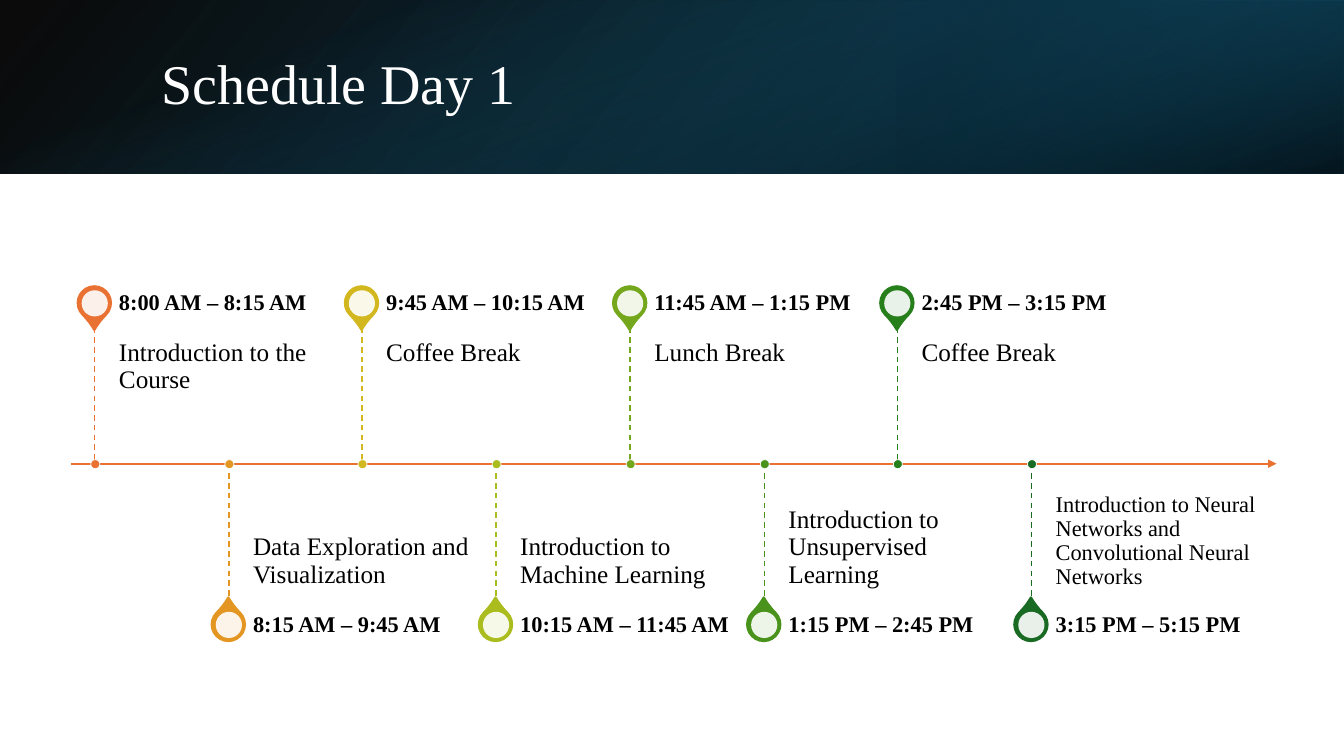
from lxml.etree import SubElement
from pptx import Presentation
from pptx.dml.color import RGBColor
from pptx.enum.dml import MSO_LINE
from pptx.enum.shapes import MSO_CONNECTOR, MSO_SHAPE
from pptx.enum.text import MSO_ANCHOR, MSO_AUTO_SIZE, PP_ALIGN
from pptx.oxml.ns import qn
from pptx.util import Emu, Pt

PX = 9144
FONT = "Times New Roman"
COLORS = {
    "white": "FFFFFF", "black": "000000", "navy": "104862",
    "deep": "0B3041", "teal": "156082", "axis": "E97132",
}
SESSIONS = [
    ("8:00 AM – 8:15 AM", "Introduction to the Course", 18, "E97132"),
    ("8:15 AM – 9:45 AM", "Data Exploration and Visualization", 18, "E49622"),
    ("9:45 AM – 10:15 AM", "Coffee Break", 18, "D2B81E"),
    ("10:15 AM – 11:45 AM", "Introduction to Machine Learning", 18, "ABBC1E"),
    ("11:45 AM – 1:15 PM", "Lunch Break", 18, "75A71D"),
    ("1:15 PM – 2:45 PM", "Introduction to Unsupervised Learning", 18, "49931D"),
    ("2:45 PM – 3:15 PM", "Coffee Break", 18, "277F1B"),
    ("3:15 PM – 5:15 PM",
     "Introduction to Neural Networks and Convolutional Neural Networks", 16, "196B24"),
]


def emu(*lengths):
    """Turn px lengths into EMU."""
    return [Emu(length * PX) for length in lengths]


def rgb(color):
    """Return the colour of a hex string."""
    return RGBColor.from_string(color)


def set_opacity(shape, *percents):
    """Give the shape's fill colours their opacity, in order."""
    for color, percent in zip(shape.element.spPr.iter(qn("a:srgbClr")), percents):
        SubElement(color, qn("a:alpha")).set("val", str(percent * 1000))


def add_figure(shapes, preset, box, fill=None, line=None, width=0):
    """Add a preset shape with a plain fill and an optional outline."""
    figure = shapes.add_shape(preset, *emu(*box))
    figure.shadow.inherit = False
    if fill:
        figure.fill.solid()
        figure.fill.fore_color.rgb = rgb(fill)
    if line:
        figure.line.color.rgb = rgb(line)
        figure.line.width = Pt(width)
    else:
        figure.line.fill.background()
    return figure


def add_line(shapes, ends, color, width):
    """Add a straight line without a shadow."""
    line = shapes.add_connector(MSO_CONNECTOR.STRAIGHT, *emu(*ends))
    line.line.color.rgb = rgb(color)
    line.line.width = Pt(width)
    SubElement(line.element.spPr, qn("a:effectLst"))
    return line


def write(frame, text, size, color, anchor, bold=False):
    """Write one left-aligned paragraph into a text frame."""
    frame.word_wrap = True
    frame.auto_size = MSO_AUTO_SIZE.NONE
    frame.vertical_anchor = anchor
    paragraph = frame.paragraphs[0]
    paragraph.alignment = PP_ALIGN.LEFT
    paragraph.line_spacing = 0.9
    run = paragraph.add_run()
    run.text = text
    run.font.name = FONT
    run.font.size = Pt(size)
    run.font.bold = bold
    run.font.color.rgb = rgb(color)


def add_label(shapes, box, insets, text, size, anchor, bold=False):
    """Add a black text box with its left, top, right and bottom insets."""
    frame = shapes.add_textbox(*emu(*box)).text_frame
    (frame.margin_left, frame.margin_top,
     frame.margin_right, frame.margin_bottom) = emu(*insets)
    write(frame, text, size, COLORS["black"], anchor, bold)


def add_shade(shapes, box, stops, angle, rotation=0, flip=False):
    """Add a translucent gradient layer; the angle runs clockwise."""
    shade = add_figure(shapes, MSO_SHAPE.RECTANGLE, box)
    shade.rotation = rotation
    if flip:
        shade.element.spPr.get_or_add_xfrm().set("flipH", "1")
    shade.fill.gradient()
    shade.fill.gradient_angle = 360 - angle
    for stop, (position, color, _) in zip(shade.fill.gradient_stops, stops):
        stop.position = position / 100
        stop.color.rgb = rgb(COLORS[color])
    set_opacity(shade, *(opacity for _, _, opacity in stops))


def build_header(slide, box):
    """Lay the shaded band and set the title on it."""
    x, y, w, h = box
    add_shade(slide.shapes, box, [(0, "black", 96), (100, "navy", 96 + 4)], 140, flip=True)
    add_shade(slide.shapes, (x + w * 2 // 3 + 1, y, w // 3, h),
              [(19, "deep", 68), (100, "teal", 79)], 320, 180, True)
    turn = (w - h) // 2
    add_shade(slide.shapes, (x + turn, y - turn, h, w),
              [(23, "teal", 0), (99, "black", 74)], 340, 90)
    title = slide.shapes.title
    title.left, title.top, title.width, title.height = emu(x + 150, y + 38, 1098, 96)
    write(title.text_frame, "Schedule Day 1", 40, COLORS["white"], MSO_ANCHOR.MIDDLE)
    title.element.getparent().append(title.element)


def add_session(shapes, stem, top, height, axis, session, above):
    """Place one session's pin, texts, stem and dot above or below the axis."""
    time, topic, size, color = session
    label_height, label_width = 48, 219
    label_top = top if above else top + height - label_height
    pin = label_top + label_height // 2
    tip = label_top + label_height if above else label_top
    drop = add_figure(shapes, MSO_SHAPE.TEAR, (stem - 17, pin - 17, 33, 33),
                      color, color, 1.5)
    drop.adjustments[0] = 1.15
    drop.rotation = 135 if above else 315
    disc = add_figure(shapes, MSO_SHAPE.OVAL, (stem - 13, pin - 13, 26, 26),
                      COLORS["white"])
    set_opacity(disc, 90)
    near = round(size * 2 / 3)
    insets = (0, near, 12, 19) if above else (0, 19, 0, near)
    add_label(shapes, (stem + 24, min(tip, axis), label_width, abs(axis - tip)),
              insets, topic, size, MSO_ANCHOR.TOP if above else MSO_ANCHOR.BOTTOM)
    add_label(shapes, (stem + 24, label_top, label_width, label_height),
              (0, 0, 11, 0), time, 16, MSO_ANCHOR.MIDDLE, True)
    dashes = add_line(shapes, (stem, min(tip, axis), stem, max(tip, axis)), color, 1)
    dashes.line.dash_style = MSO_LINE.DASH
    add_figure(shapes, MSO_SHAPE.OVAL, (stem - 4, axis - 4, 9, 9),
               color, COLORS["white"], 0.5)


def build_timeline(slide, box):
    """Draw the axis and spread the sessions along it, alternating sides."""
    x, y, w, h = box
    axis = y + h // 2
    shapes = slide.shapes.add_group_shape().shapes
    arrow = add_line(shapes, (x, axis, x + w, axis), COLORS["axis"], 1.5)
    SubElement(arrow.line._get_or_add_ln(), qn("a:tailEnd")).set("type", "triangle")
    first, last = x + 24, x + w - 243
    for index, session in enumerate(SESSIONS):
        stem = first + round(index * (last - first) / (len(SESSIONS) - 1))
        add_session(shapes, stem, y, h, axis, session, index % 2 == 0)


def main():
    """Build the schedule slide and save it."""
    deck = Presentation()
    deck.slide_width, deck.slide_height = emu(1333, 750)
    slide = deck.slides.add_slide(deck.slide_layouts[5])
    build_header(slide, (0, 0, 1333, 172))
    build_timeline(slide, (70, 277, 1196, 367))
    deck.save("out.pptx")


if __name__ == "__main__":
    main()
